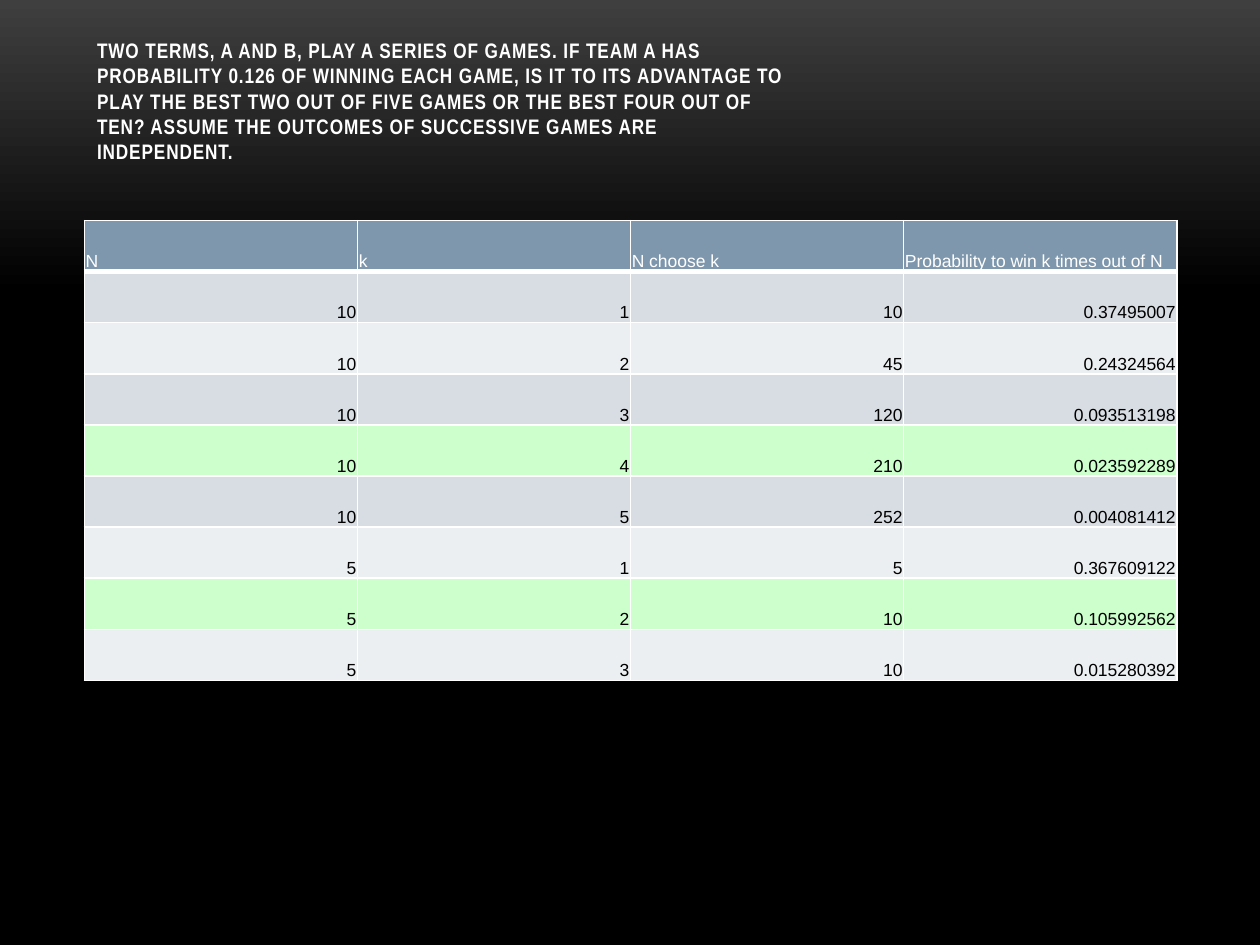
"""Build a slide comparing the chances of winning two series of games."""
import dataclasses

import pptx
import pptx.dml.color
import pptx.enum.text
import pptx.oxml
import pptx.oxml.ns
import pptx.util

COLOURS = {
    "glow": "3F3F3F", "black": "000000", "white": "FFFFFF", "header": "7E97AD",
    "odd": "D8DDE3", "even": "ECEFF1", "highlight": "CCFFCC",
}
SLIDE_WIDTH, SLIDE_HEIGHT = pptx.util.Inches(10), pptx.util.Inches(7.5)
LEFT_SHARE, WIDTH_SHARE = 0.067, 0.867
TITLE_LINES = [
    "TWO TERMS, A AND B, PLAY A SERIES OF GAMES. IF TEAM A HAS ",
    "PROBABILITY 0.126 OF WINNING EACH GAME, IS IT TO ITS ADVANTAGE TO ",
    "PLAY THE BEST TWO OUT OF FIVE GAMES OR THE BEST FOUR OUT OF ",
    "TEN? ASSUME THE OUTCOMES OF SUCCESSIVE GAMES ARE ",
    "INDEPENDENT.",
]
HEADINGS = ["N", "k", "N choose k", "Probability to win k times out of N"]


@dataclasses.dataclass(frozen=True)
class Outcome:
    games: int
    wins: int
    combinations: int
    probability: str
    highlighted: bool = False

    def texts(self) -> list[str]:
        return [str(self.games), str(self.wins), str(self.combinations), self.probability]


OUTCOMES = [
    Outcome(10, 1, 10, "0.37495007"),
    Outcome(10, 2, 45, "0.24324564"),
    Outcome(10, 3, 120, "0.093513198"),
    Outcome(10, 4, 210, "0.023592289", True),
    Outcome(10, 5, 252, "0.004081412"),
    Outcome(5, 1, 5, "0.367609122"),
    Outcome(5, 2, 10, "0.105992562", True),
    Outcome(5, 3, 10, "0.015280392"),
]


def colour(name: str) -> pptx.dml.color.RGBColor:
    return pptx.dml.color.RGBColor.from_string(COLOURS[name])


def write_text(text_frame, text: str, *, font: str, size: float, colour_name: str,
               bold: bool = False, align: str = "LEFT", spacing: float = 0) -> None:
    paragraph = text_frame.paragraphs[0]
    paragraph.text = text
    paragraph.alignment = getattr(pptx.enum.text.PP_ALIGN, align)
    for run in paragraph.runs:
        run.font.name, run.font.size, run.font.bold = font, pptx.util.Pt(size), bold
        run.font.color.rgb = colour(colour_name)
        if spacing:
            run.font._element.set("spc", str(round(spacing * 100)))


def paint_background(slide) -> None:
    fill = slide.background.fill
    fill.gradient()
    fill.gradient_angle = 270
    for stop, (name, position) in zip(fill.gradient_stops, [("glow", 0), ("black", 0.31)]):
        stop.color.rgb, stop.position = colour(name), position


def add_title(slide) -> None:
    title = slide.shapes.title
    title.left, title.top = round(SLIDE_WIDTH * LEFT_SHARE), round(SLIDE_HEIGHT * 0.04)
    title.width, title.height = round(SLIDE_WIDTH * WIDTH_SHARE), round(SLIDE_HEIGHT / 6)
    text_frame = title.text_frame
    text_frame.word_wrap = True
    text_frame.auto_size = pptx.enum.text.MSO_AUTO_SIZE.NONE
    text_frame.vertical_anchor = pptx.enum.text.MSO_ANCHOR.BOTTOM
    text_frame.margin_bottom = pptx.util.Inches(0.25)
    write_text(text_frame, "\v".join(TITLE_LINES), font="Arial Narrow", size=12,
               colour_name="white", bold=True, spacing=0.5)


def add_borders(cell, widths: dict[str, float]) -> None:
    properties = cell._tc.get_or_add_tcPr()
    for side, width in widths.items():
        properties.append(pptx.oxml.parse_xml(
            f'<a:ln{side} {pptx.oxml.ns.nsdecls("a")} w="{pptx.util.Pt(width)}">'
            f'<a:solidFill><a:srgbClr val="{COLOURS["white"]}"/></a:solidFill></a:ln{side}>'))


def format_cell(cell, text: str, *, fill: str, text_colour: str, align: str,
                top: float = 1, bottom: float = 1) -> None:
    cell.margin_left = cell.margin_right = cell.margin_top = pptx.util.Inches(0.01)
    cell.margin_bottom = 0
    cell.vertical_anchor = pptx.enum.text.MSO_ANCHOR.BOTTOM
    add_borders(cell, {"L": 1, "R": 1, "T": top, "B": bottom})
    cell.fill.solid()
    cell.fill.fore_color.rgb = colour(fill)
    write_text(cell.text_frame, text, font="Arial", size=10, colour_name=text_colour, align=align)


def add_outcome_table(slide) -> None:
    table = slide.shapes.add_table(
        len(OUTCOMES) + 1, len(HEADINGS), round(SLIDE_WIDTH * LEFT_SHARE), pptx.util.Inches(1.75),
        round(SLIDE_WIDTH * WIDTH_SHARE), pptx.util.Inches(3.65)).table
    for column, heading in enumerate(HEADINGS):
        format_cell(table.cell(0, column), heading, fill="header", text_colour="white",
                    align="LEFT", bottom=3)
    for row, outcome in enumerate(OUTCOMES, start=1):
        band = "odd" if row % 2 else "even"
        for column, text in enumerate(outcome.texts()):
            format_cell(table.cell(row, column), text, text_colour="black", align="RIGHT",
                        fill="highlight" if outcome.highlighted else band,
                        top=3 if row == 1 else 1)


def main() -> None:
    presentation = pptx.Presentation()
    presentation.slide_width, presentation.slide_height = SLIDE_WIDTH, SLIDE_HEIGHT
    slide = presentation.slides.add_slide(presentation.slide_layouts.get_by_name("Title Only"))
    paint_background(slide)
    add_title(slide)
    add_outcome_table(slide)
    presentation.save("out.pptx")


if __name__ == "__main__":
    main()
